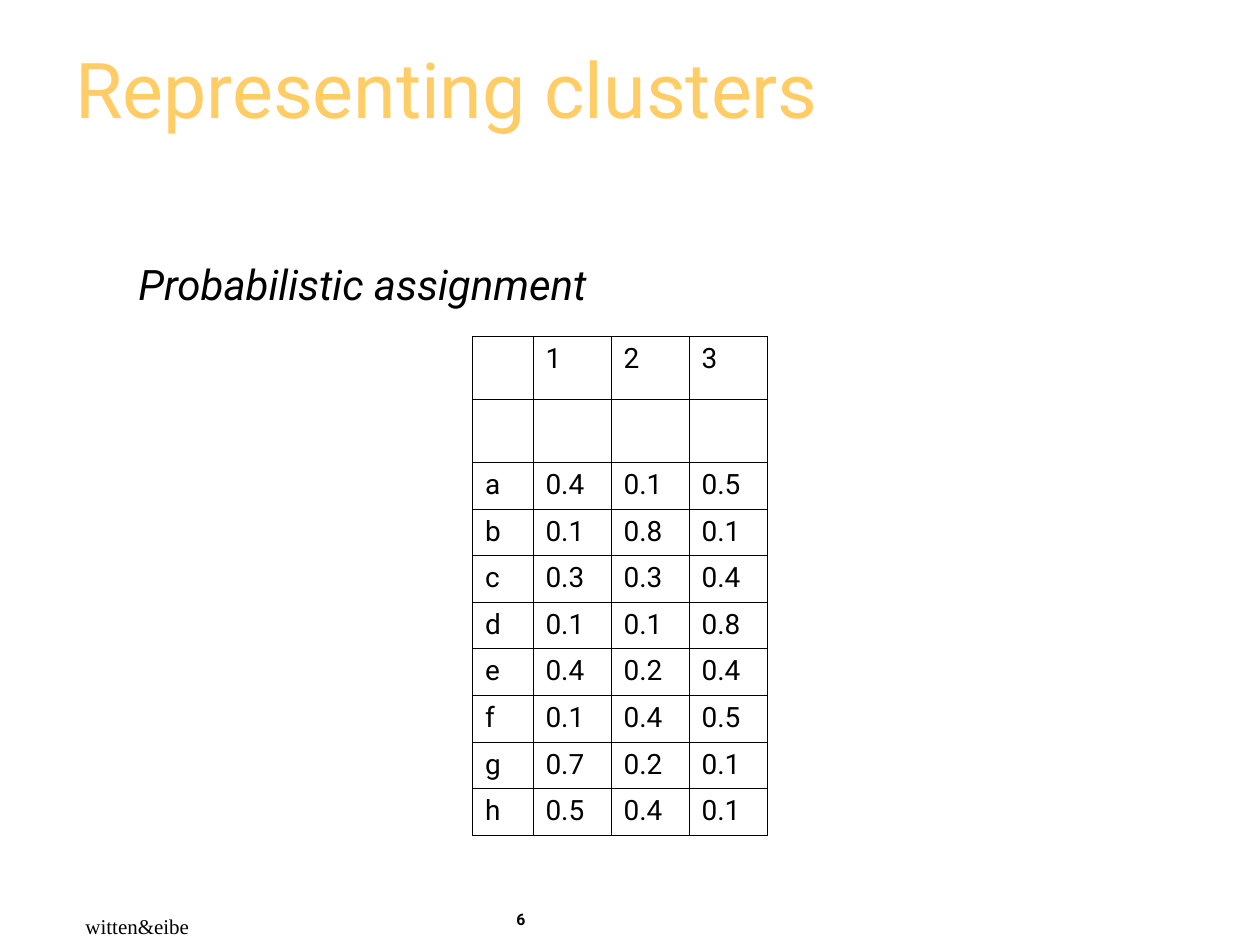
from lxml.etree import SubElement
from pptx import Presentation
from pptx.dml.color import RGBColor
from pptx.enum.text import MSO_ANCHOR, MSO_AUTO_SIZE
from pptx.oxml.ns import qn
from pptx.util import Inches, Pt

BLACK = RGBColor(0x00, 0x00, 0x00)
GOLD = RGBColor(0xFF, 0xCC, 0x66)

COLUMN_WIDTHS = [0.48, 0.62, 0.62, 0.62]
HEADER_HEIGHT = 0.5
ROW_HEIGHT = 0.37
BORDER_WIDTH = Pt(0.45)

HEADER_ROWS = [["", "1", "2", "3"], [""] * 4]
PROBABILITY_ROWS = [
    ["a", "0.4", "0.1", "0.5"],
    ["b", "0.1", "0.8", "0.1"],
    ["c", "0.3", "0.3", "0.4"],
    ["d", "0.1", "0.1", "0.8"],
    ["e", "0.4", "0.2", "0.4"],
    ["f", "0.1", "0.4", "0.5"],
    ["g", "0.7", "0.2", "0.1"],
    ["h", "0.5", "0.4", "0.1"],
]


def write_text(frame, text, size, font="Roboto", color=BLACK, bold=False,
               italic=False, line_spacing=None):
    para = frame.paragraphs[0]
    para.line_spacing = line_spacing
    span = para.add_run()
    span.text = text
    span.font.size = Pt(size)
    span.font.name = font
    span.font.color.rgb = color
    span.font.bold = bold
    span.font.italic = italic


def add_text(page, left, top, width, height, text, size, wrap=True,
             anchor=MSO_ANCHOR.TOP, auto_size=MSO_AUTO_SIZE.NONE,
             **text_format):
    box = page.shapes.add_textbox(Inches(left), Inches(top),
                                  Inches(width), Inches(height))
    box.text_frame.word_wrap = wrap
    box.text_frame.auto_size = auto_size
    box.text_frame.vertical_anchor = anchor
    write_text(box.text_frame, text, size, **text_format)


def add_borders(cell):
    properties = cell._tc.get_or_add_tcPr()
    for side in ("a:lnL", "a:lnR", "a:lnT", "a:lnB"):
        line = SubElement(properties, qn(side), w=str(BORDER_WIDTH))
        fill = SubElement(line, qn("a:solidFill"))
        SubElement(fill, qn("a:srgbClr"), val=str(BLACK))


def add_probability_table(page, left, top):
    rows = HEADER_ROWS + PROBABILITY_ROWS
    heights = ([HEADER_HEIGHT] * len(HEADER_ROWS)
               + [ROW_HEIGHT] * len(PROBABILITY_ROWS))
    frame = page.shapes.add_table(
        len(rows), len(COLUMN_WIDTHS), Inches(left), Inches(top),
        Inches(sum(COLUMN_WIDTHS)), Inches(sum(heights)))
    table = frame.table
    table.first_row = False
    table.horz_banding = False
    for column, width in zip(table.columns, COLUMN_WIDTHS):
        column.width = Inches(width)
    for row, height, values in zip(table.rows, heights, rows):
        row.height = Inches(height)
        for cell, value in zip(row.cells, values):
            add_borders(cell)
            cell.fill.background()
            if value:
                write_text(cell.text_frame, value, 16)


def add_footer(page, top):
    add_text(page, 4, top, 1.02, 0.33, "6", 9, bold=True)
    add_text(page, 0.58, top + 0.03, 1.05, 0.3, "witten&eibe", 12,
             wrap=False, auto_size=MSO_AUTO_SIZE.SHAPE_TO_FIT_TEXT,
             font="Times New Roman")


def main():
    deck = Presentation()
    deck.slide_width, deck.slide_height = Inches(10), Inches(7.5)
    page = deck.slides.add_slide(deck.slide_layouts[6])
    add_text(page, 0.5, 0.25, 9.08, 1, "Representing clusters", 44,
             anchor=MSO_ANCHOR.MIDDLE, color=GOLD, line_spacing=0.85)
    add_text(page, 1, 2, 3.92, 0.5, "Probabilistic assignment", 24,
             auto_size=MSO_AUTO_SIZE.SHAPE_TO_FIT_TEXT, italic=True)
    add_probability_table(page, 3.75, 2.67)
    add_footer(page, 7.17)
    deck.save("out.pptx")


if __name__ == "__main__":
    main()
